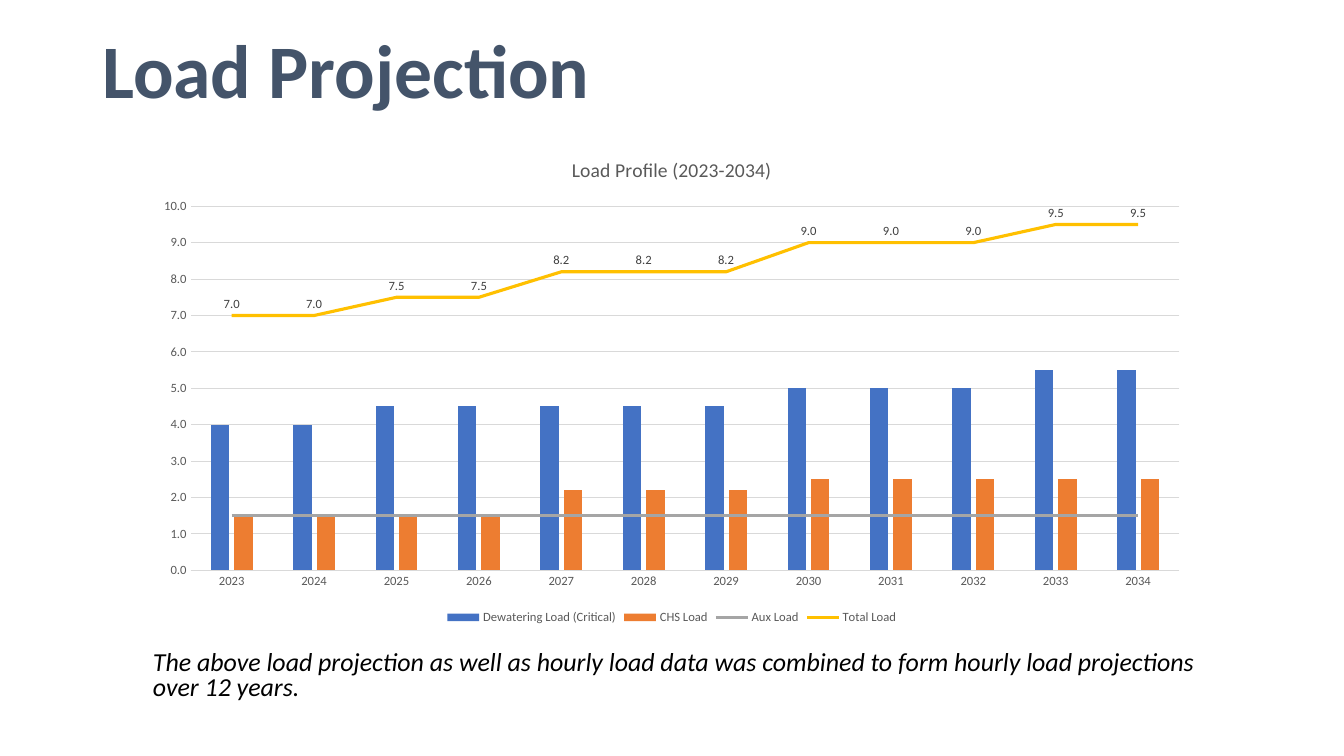
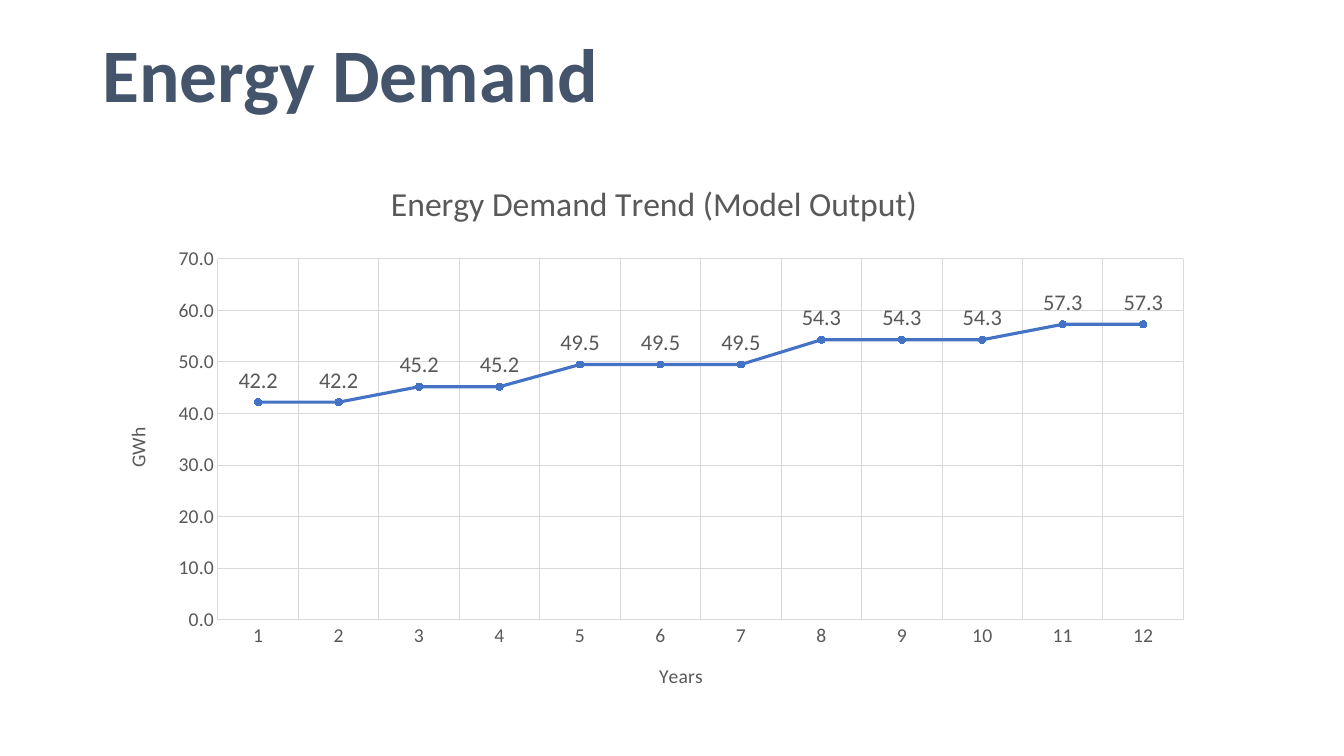
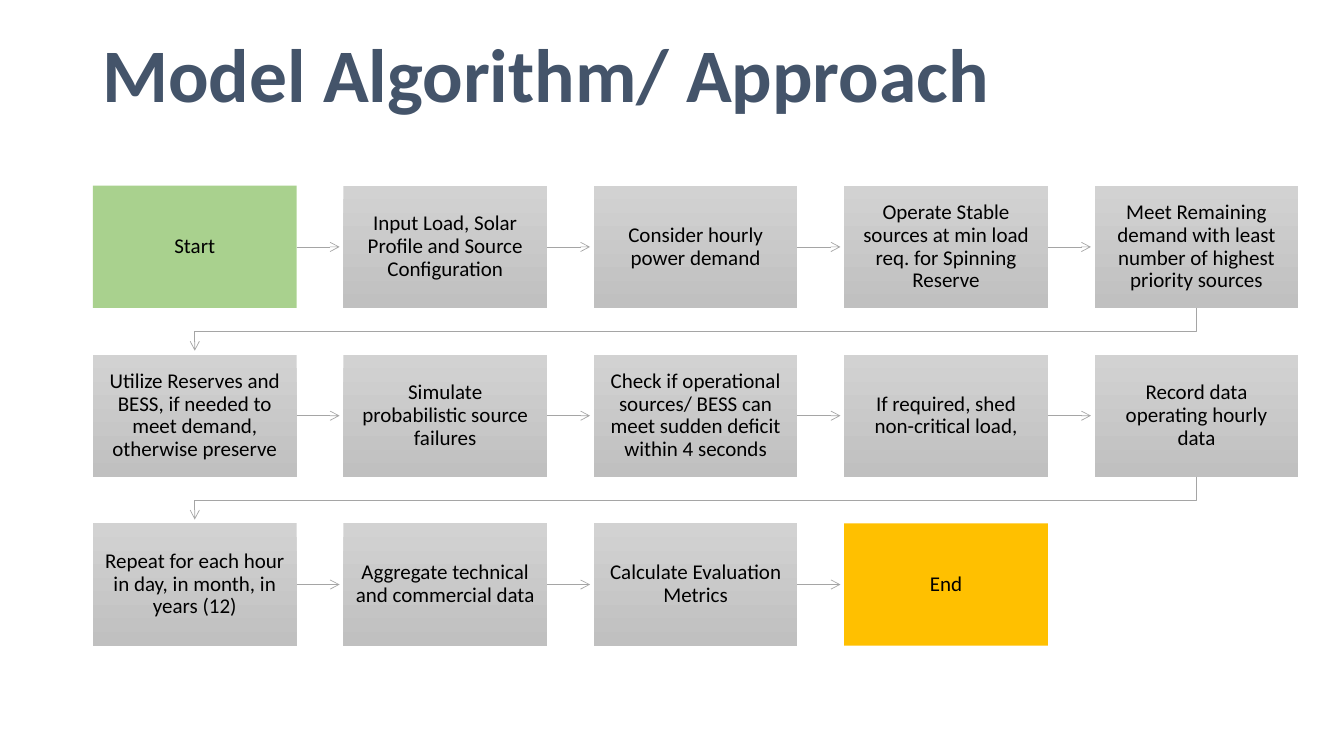
"""Build three slides on load projection, energy demand and the model algorithm."""
from lxml.etree import SubElement
from pptx import Presentation
from pptx.chart.data import CategoryChartData
from pptx.dml.color import RGBColor
from pptx.enum.chart import XL_CHART_TYPE as CT, XL_LABEL_POSITION as LP
from pptx.enum.chart import XL_LEGEND_POSITION as LEG, XL_MARKER_STYLE as MS
from pptx.enum.chart import XL_TICK_MARK as TICK
from pptx.enum.shapes import MSO_CONNECTOR as MC, MSO_SHAPE as SHAPE
from pptx.enum.text import MSO_ANCHOR as ANCHOR, PP_ALIGN as ALIGN
from pptx.oxml import parse_xml
from pptx.oxml.ns import nsdecls, qn
from pptx.util import Pt

FONT = "Calibri"
NAVY, BLACK, GREY, LABEL, GRID = "44546A", "000000", "595959", "404040", "D9D9D9"
BLUE, ORANGE, SILVER, GOLD, GREEN = "4472C4", "ED7D31", "A5A5A5", "FFC000", "A9D18E"
STEP_TOP, STEP_BOTTOM = "D2D2D2", "C0C0C0"

LOADS = [
    ("Dewatering Load (Critical)", [4] * 2 + [4.5] * 5 + [5] * 3 + [5.5] * 2, BLUE),
    ("CHS Load", [1.5] * 4 + [2.2] * 3 + [2.5] * 5, ORANGE),
    ("Aux Load", [1.5] * 12, SILVER),
    ("Total Load", [7] * 2 + [7.5] * 2 + [8.2] * 3 + [9] * 3 + [9.5] * 2, GOLD),
]
DEMAND = [42.2] * 2 + [45.2] * 2 + [49.5] * 3 + [54.3] * 3 + [57.3] * 2
STEPS = [
    "Start",
    "Input Load, Solar Profile and Source Configuration",
    "Consider hourly power demand",
    "Operate Stable sources at min load req. for Spinning Reserve",
    "Meet Remaining demand with least number of highest priority sources",
    "Utilize Reserves and BESS, if needed to meet demand, otherwise preserve",
    "Simulate probabilistic source failures",
    "Check if operational sources/ BESS can meet sudden deficit within 4 seconds",
    "If required, shed non-critical load,",
    "Record data operating hourly data",
    "Repeat for each hour in day, in month, in years (12)",
    "Aggregate technical and commercial data",
    "Calculate Evaluation Metrics",
    "End",
]
STEP_FILLS = {"Start": GREEN, "End": GOLD}


def rgb(code):
    """Turn a hex string into a colour."""
    return RGBColor.from_string(code)


def style_font(font, size, color, bold=False, italic=False):
    """Set face, size, colour and weight of a font."""
    font.name, font.size, font.bold, font.italic = FONT, Pt(size), bold, italic
    font.color.rgb = rgb(color)


def write(tf, text, size, color, spacing=None, **weight):
    """Write one run into the first paragraph and return the paragraph."""
    p = tf.paragraphs[0]
    p.line_spacing = spacing
    r = p.add_run()
    r.text = text
    style_font(r.font, size, color, **weight)
    return p


def add_text(s, box, anchor, *args, **weight):
    """Add a wrapped text box and return its paragraph."""
    tf = s.shapes.add_textbox(*map(Pt, box)).text_frame
    tf.word_wrap, tf.vertical_anchor = True, anchor
    return write(tf, *args, **weight)


def add_titled_slide(prs, title, height=74.2):
    """Add a blank slide with the shared title style."""
    s = prs.slides.add_slide(prs.slide_layouts[6])
    add_text(s, (66, 18.7, 828, height), ANCHOR.MIDDLE, title, 54, NAVY, 0.9, bold=True)
    return s


def style_line(line, color, width):
    """Set colour and width of a line."""
    line.color.rgb, line.width = rgb(color), Pt(width)


def style_axis(axis, size, grid, title=None):
    """Style tick labels, gridlines and the title of an axis."""
    axis.major_tick_mark = axis.minor_tick_mark = TICK.NONE
    style_font(axis.tick_labels.font, size, GREY)
    axis.has_major_gridlines = grid
    if grid:
        style_line(axis.major_gridlines.format.line, GRID, 0.75)
    if title:
        write(axis.axis_title.text_frame, title, size, GREY)


def add_chart(s, box, kind, cats, series, title, title_size, size, top, step,
              cat_grid=False, cat_title=None, val_title=None):
    """Add a chart with styled title and axes."""
    data = CategoryChartData(number_format="0.0")
    data.categories = cats
    for name, vals, _ in series:
        data.add_series(name, vals)
    chart = s.shapes.add_chart(kind, *map(Pt, box), data).chart
    style_font(chart.font, 10, BLACK)
    chart.has_title, chart.has_legend = True, False
    write(chart.chart_title.text_frame, title, title_size, GREY)
    chart.plots[0].vary_by_categories = False
    cat, val = chart.category_axis, chart.value_axis
    style_axis(cat, size, cat_grid, cat_title)
    style_axis(val, size, True, val_title)
    style_line(cat.format.line, GRID, 0.75)
    val.format.line.fill.background()
    val.minimum_scale, val.maximum_scale, val.major_unit = 0, top, step
    val.tick_labels.number_format = "0.0"
    val.tick_labels.number_format_is_linked = False
    return chart


def style_series_line(ser, color, marker):
    """Draw a series as a straight line with the given marker."""
    ser.smooth = False
    style_line(ser.format.line, color, 2.25)
    ser.marker.style = marker
    if marker != MS.NONE:
        ser.marker.size = 5
        ser.marker.format.fill.solid()
        ser.marker.format.fill.fore_color.rgb = rgb(color)
        style_line(ser.marker.format.line, color, 0.75)


def label_points(ser, size, color):
    """Show the values above the points of a series."""
    labels = ser.data_labels
    labels.show_value, labels.position = True, LP.ABOVE
    labels.number_format, labels.number_format_is_linked = "0.0", False
    style_font(labels.font, size, color)


def move_to_lines(chart, first):
    """Move the series from index first on into a line plot on the same axes."""
    bars = chart.plots[0]
    bar = bars.series[0]._element.getparent()
    lines = parse_xml(f'<c:lineChart {nsdecls("c")}><c:grouping val="standard"/>'
                      '<c:varyColors val="0"/></c:lineChart>')
    for ser in list(bars.series)[first:]:
        el = ser._element
        for flag in el.findall(qn("c:invertIfNegative")):
            el.remove(flag)
        lines.append(el)
    SubElement(lines, qn("c:marker")).set("val", "1")
    for ax in bar.findall(qn("c:axId")):
        SubElement(lines, qn("c:axId")).set("val", ax.get("val"))
    bar.addnext(lines)


def build_load_slide(prs):
    """Build the load projection slide."""
    s = add_titled_slide(prs, "Load Projection", 67.7)
    chart = add_chart(s, (102.2, 98.6, 755.3, 350.6), CT.COLUMN_CLUSTERED,
                      [str(y) for y in range(2023, 2035)], LOADS,
                      "Load Profile (2023-2034)", 14, 9, 10, 1)
    chart.has_legend = True
    chart.legend.position, chart.legend.include_in_layout = LEG.BOTTOM, False
    style_font(chart.legend.font, 9, GREY)
    move_to_lines(chart, 2)
    bars, lines = chart.plots
    bars.gap_width, bars.overlap = 219, -27
    for ser, (_, _, color) in zip(bars.series, LOADS):
        ser.format.fill.solid()
        ser.format.fill.fore_color.rgb = rgb(color)
    for ser, (_, _, color) in zip(lines.series, LOADS[2:]):
        style_series_line(ser, color, MS.NONE)
    label_points(lines.series[1], 9, LABEL)
    p = add_text(s, (102.2, 462.2, 772.6, 44.6), ANCHOR.TOP,
                 "The above load projection as well as hourly load data was combined "
                 "to form hourly load projections over 12 years.",
                 18.5, BLACK, 0.8, italic=True)
    p.space_before = Pt(10)


def build_demand_slide(prs):
    """Build the energy demand slide."""
    s = add_titled_slide(prs, "Energy Demand")
    chart = add_chart(s, (73.4, 113, 787.7, 395.3), CT.LINE_MARKERS,
                      [str(n) for n in range(1, 13)], [("Series 1", DEMAND, BLUE)],
                      "Energy Demand Trend (Model Output)", 24, 14, 70, 10,
                      True, "Years", "GWh")
    ser = chart.plots[0].series[0]
    style_series_line(ser, BLUE, MS.CIRCLE)
    label_points(ser, 16, GREY)


def add_step(s, box, text):
    """Add one box of the flow."""
    sp = s.shapes.add_shape(SHAPE.RECTANGLE, *map(Pt, box))
    sp.shadow.inherit = False
    sp.line.fill.background()
    if text in STEP_FILLS:
        sp.fill.solid()
        sp.fill.fore_color.rgb = rgb(STEP_FILLS[text])
    else:
        sp.fill.gradient()
        sp.fill.gradient_angle = 270
        for stop, color in zip(sp.fill.gradient_stops, (STEP_TOP, STEP_BOTTOM)):
            stop.color.rgb = rgb(color)
    tf = sp.text_frame
    tf.word_wrap, tf.vertical_anchor = True, ANCHOR.MIDDLE
    tf.margin_left = tf.margin_right = tf.margin_top = tf.margin_bottom = Pt(8.5)
    write(tf, text, 15, BLACK, 0.9).alignment = ALIGN.CENTER
    return sp


def style_arrow(sp):
    """Give a line its colour and arrowhead, without a shadow."""
    style_line(sp.line, SILVER, 0.5)
    props = sp._element.spPr
    SubElement(props.find(qn("a:ln")), qn("a:tailEnd")).set("type", "arrow")
    SubElement(props, qn("a:effectLst"))


def add_flow(s, box, cols, rows, gap_x, gap_y):
    """Lay the steps out row by row in the box and link each to the next."""
    left, top, width, height = box
    w = (width - gap_x * (cols - 1)) / cols
    h = (height - gap_y * (rows - 1)) / rows
    short = 2.7
    for i, text in enumerate(STEPS):
        row, col = divmod(i, cols)
        x, y = left + col * (w + gap_x), top + row * (h + gap_y)
        step = add_step(s, (x, y, w, h), text)
        if i == len(STEPS) - 1:
            continue
        if col < cols - 1:
            mid = y + h / 2
            arrow = s.shapes.add_connector(
                MC.STRAIGHT, *map(Pt, (x + w, mid, x + w + gap_x - short, mid)))
            arrow.begin_connect(step, 3)
        else:
            start, end, turn = x + w / 2, left + w / 2, y + h + gap_y / 2
            fb = s.shapes.build_freeform(Pt(start), Pt(y + h))
            fb.add_line_segments([(Pt(start), Pt(turn)), (Pt(end), Pt(turn)),
                                  (Pt(end), Pt(y + h + gap_y - short))], close=False)
            arrow = fb.convert_to_shape()
            arrow.fill.background()
        style_arrow(arrow)


def build_flow_slide(prs):
    """Build the model algorithm slide."""
    s = add_titled_slide(prs, "Model Algorithm/ Approach")
    add_flow(s, (66.4, 132.7, 861, 328.5), 5, 3, 33.4, 33.2)


def main():
    """Build and save the presentation."""
    prs = Presentation()
    prs.slide_width, prs.slide_height = Pt(960), Pt(540)
    for build in (build_load_slide, build_demand_slide, build_flow_slide):
        build(prs)
    prs.save("out.pptx")


if __name__ == "__main__":
    main()
